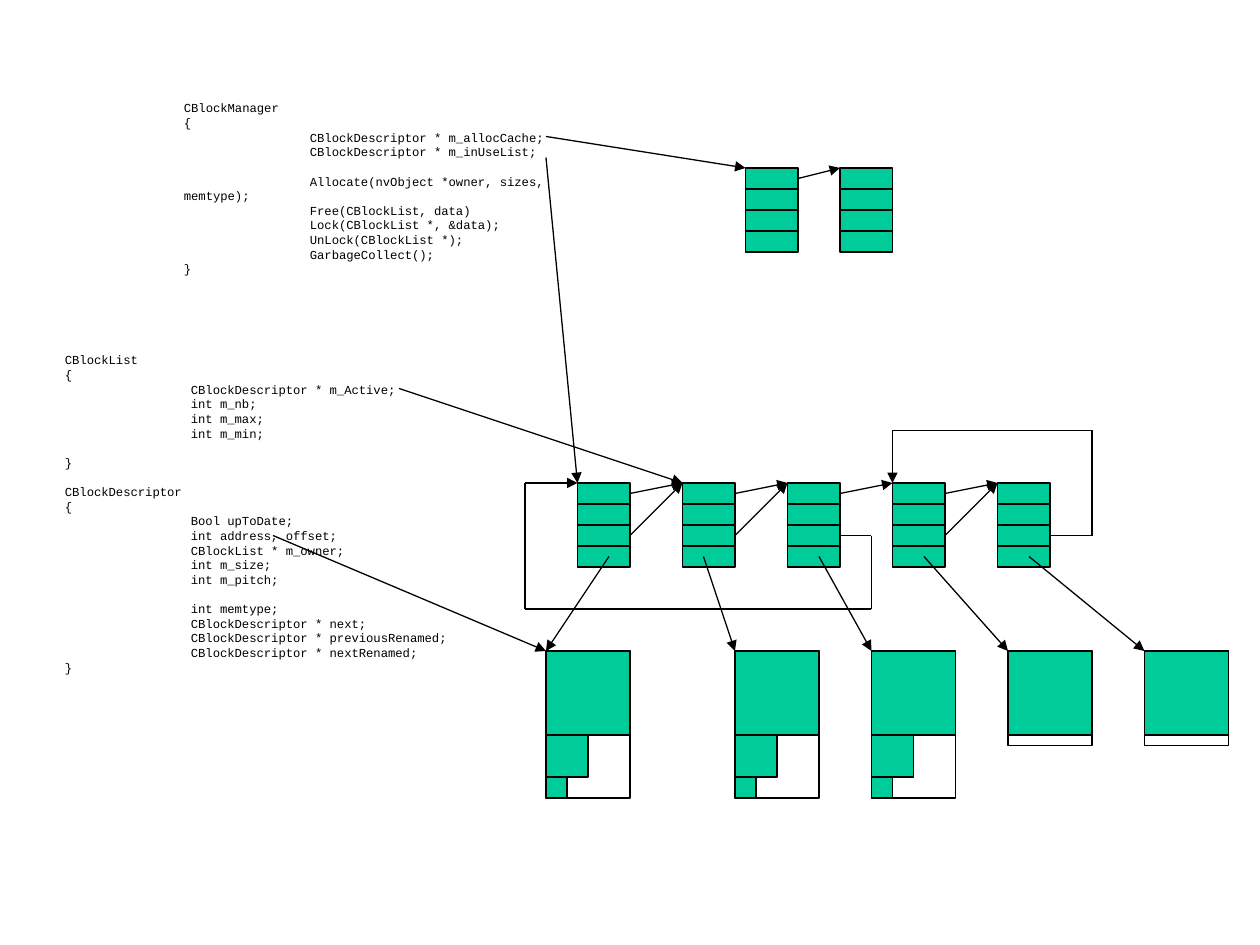
"""Block manager data structures: code listings linked to descriptor and memory blocks."""
from dataclasses import dataclass
from itertools import pairwise
from typing import Any

from lxml import etree
from pptx import Presentation
from pptx.dml import color
from pptx.enum import shapes, text
from pptx.oxml import ns
from pptx.util import Pt

COLORS = {"ink": "000000", "block": "00CC99"}
FONT = "Courier New"
LINE_PITCH = 8.35
TAB = 72
DESC_W, DESC_H, FIELD_H = 30, 48, 12
CACHE_Y, LIST_Y, MEMORY_Y = 96, 276, 372
LIST_PITCH = 60

MANAGER = """CBlockManager
{
\tCBlockDescriptor * m_allocCache;
\tCBlockDescriptor * m_inUseList;

\tAllocate(nvObject *owner, sizes, memtype);
\tFree(CBlockList, data)
\tLock(CBlockList *, &data);
\tUnLock(CBlockList *);
\tGarbageCollect();
}"""

LIST_AND_DESCRIPTOR = """CBlockList
{
\tCBlockDescriptor * m_Active;
\tint m_nb;
\tint m_max;
\tint m_min;

}

CBlockDescriptor
{
\tBool upToDate;
\tint address, offset;
\tCBlockList * m_owner;
\tint m_size;
\tint m_pitch;

\tint memtype;
\tCBlockDescriptor * next;
\tCBlockDescriptor * previousRenamed;
\tCBlockDescriptor * nextRenamed;
}"""


@dataclass(frozen=True)
class Memory:
    """A memory block: left edge, frame height, square sizes and pointer offset."""
    x: float
    height: float
    squares: tuple[float, ...]
    pointer_dx: float = 18


@dataclass(frozen=True)
class Route:
    """A chain of straight segments ending in an arrowhead."""
    points: tuple[tuple[float, float], ...]


CACHE_X = (426, 480)
LIST_X = tuple(330 + LIST_PITCH * i for i in range(5))
MIPMAP = (48, 24, 12)
MEMORIES = (
    Memory(312, 84, MIPMAP),
    Memory(420, 84, MIPMAP, 12),
    Memory(498, 84, MIPMAP),
    Memory(576, 54, MIPMAP[:1]),
    Memory(654, 54, MIPMAP[:1]),
)
RENAMED = (0, 1, 3)
ROUTES = (
    Route(((312, 78), (CACHE_X[0], CACHE_Y))),
    Route(((312, 90), (LIST_X[0], LIST_Y))),
    Route(((228, 222), (LIST_X[1], LIST_Y))),
    Route(((156, 306), (MEMORIES[0].x, MEMORY_Y))),
    Route(((456, 102), (CACHE_X[1], CACHE_Y))),
    Route(((480, 306), (498, 306), (498, 348), (300, 348), (300, 276), (330, 276))),
    Route(((600, 306), (624, 306), (624, 246), (510, 246), (510, 276))),
)


def add_text(s: Any, content: str, *, x: float, y: float, w: float, h: float,
             wrap: bool = True, size: float = 7, font: str = FONT, ink: str = "ink") -> None:
    """Add a code listing, turning empty lines into space before the next one."""
    tf = s.shapes.add_textbox(Pt(x), Pt(y), Pt(w), Pt(h)).text_frame
    tf.word_wrap = wrap
    tf.auto_size = text.MSO_AUTO_SIZE.SHAPE_TO_FIT_TEXT
    p, gap = tf.paragraphs[0], 0.0
    for i, line in enumerate(content.splitlines()):
        if not line:
            gap = LINE_PITCH
            continue
        if i:
            p = tf.add_paragraph()
        p.line_spacing, p.space_before = Pt(LINE_PITCH), Pt(gap)
        gap = 0.0
        tabs = etree.SubElement(p._p.get_or_add_pPr(), ns.qn("a:tabLst"))
        etree.SubElement(tabs, ns.qn("a:tab"), pos=str(Pt(TAB)), algn="l")
        r = p.add_run()
        r.text = line
        r.font.size, r.font.name = Pt(size), font
        r.font.color.rgb = color.RGBColor.from_string(COLORS[ink])


def set_line(sp: Any) -> None:
    """Give a shape or connector the common outline."""
    sp.line.color.rgb = color.RGBColor.from_string(COLORS["ink"])
    sp.line.width = Pt(0.75)


def add_rect(s: Any, x: float, y: float, w: float, h: float, fill: str | None = "block") -> Any:
    """Add an outlined rectangle, hollow when fill is None."""
    sp = s.shapes.add_shape(shapes.MSO_SHAPE.RECTANGLE, Pt(x), Pt(y), Pt(w), Pt(h))
    sp.shadow.inherit = False
    if fill:
        sp.fill.solid()
        sp.fill.fore_color.rgb = color.RGBColor.from_string(COLORS[fill])
    else:
        sp.fill.background()
    set_line(sp)
    return sp


def add_line(s: Any, start: tuple[float, float], end: tuple[float, float],
             arrow: bool = False) -> Any:
    """Add a straight connector, optionally with an arrowhead at its end."""
    c = s.shapes.add_connector(shapes.MSO_CONNECTOR.STRAIGHT, *map(Pt, start + end))
    set_line(c)
    props = c._element.spPr
    if arrow:
        etree.SubElement(props.find(ns.qn("a:ln")), ns.qn("a:tailEnd"), type="triangle")
    etree.SubElement(props, ns.qn("a:effectLst"))
    return c


def add_descriptor(s: Any, x: float, y: float) -> None:
    """Add a descriptor box divided into four fields."""
    sp = add_rect(s, x, y, DESC_W, DESC_H)
    for dy in range(FIELD_H, DESC_H, FIELD_H):
        c = add_line(s, (x, y + dy), (x + DESC_W, y + dy))
        if dy == DESC_H / 2:
            c.begin_connect(sp, 1)
            c.end_connect(sp, 3)


def add_memory(s: Any, memory: Memory) -> None:
    """Add a memory frame with its squares stacked from the top."""
    add_rect(s, memory.x, MEMORY_Y, 48, memory.height, fill=None)
    y = MEMORY_Y
    for side in memory.squares:
        add_rect(s, memory.x, y, side, side)
        y += side


def add_route(s: Any, route: Route) -> None:
    """Draw each segment of a route, with the arrowhead on the last."""
    for start, end in pairwise(route.points):
        add_line(s, start, end, arrow=end == route.points[-1])


def main() -> None:
    """Build the slide and save it."""
    prs = Presentation()
    prs.slide_width, prs.slide_height = Pt(720), Pt(540)
    s = prs.slides.add_slide(prs.slide_layouts[6])
    add_text(s, MANAGER, x=98, y=54, w=261.4, h=108, wrap=False)
    add_text(s, LIST_AND_DESCRIPTOR, x=30, y=198, w=252, h=200)
    for x in CACHE_X:
        add_descriptor(s, x, CACHE_Y)
    for x, memory in zip(LIST_X, MEMORIES):
        add_descriptor(s, x, LIST_Y)
        add_memory(s, memory)
        add_line(s, (x + memory.pointer_dx, LIST_Y + 42), (memory.x, MEMORY_Y), arrow=True)
    for i, (x, following) in enumerate(pairwise(LIST_X)):
        for dy in (6, 30) if i in RENAMED else (6,):
            add_line(s, (x + DESC_W, LIST_Y + dy), (following, LIST_Y), arrow=True)
    for route in ROUTES:
        add_route(s, route)
    prs.save("out.pptx")


if __name__ == "__main__":
    main()
